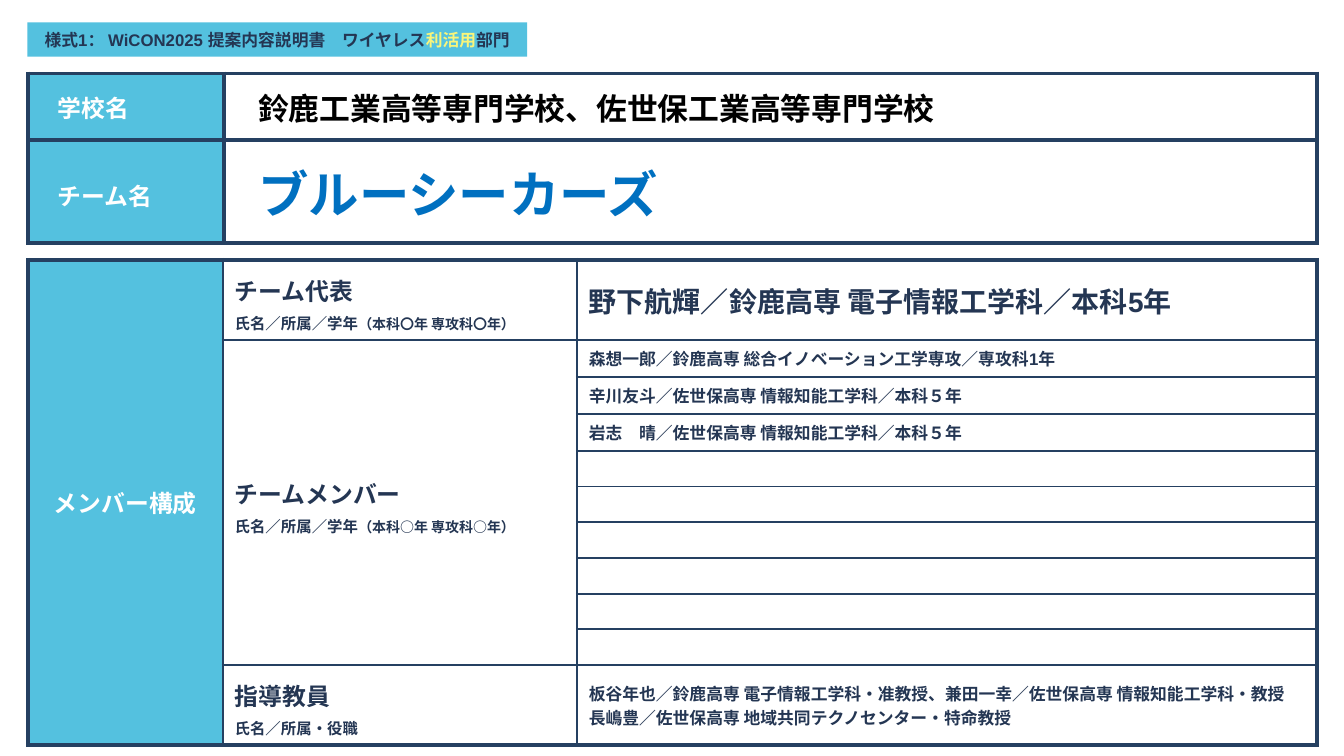
from lxml import etree
from pptx import Presentation
from pptx.dml.color import RGBColor
from pptx.enum.text import MSO_ANCHOR, MSO_AUTO_SIZE, PP_ALIGN
from pptx.oxml.ns import qn
from pptx.util import Pt

MIDDLE = MSO_ANCHOR.MIDDLE
FIXED = MSO_AUTO_SIZE.NONE
CENTER = PP_ALIGN.CENTER
LEFT = PP_ALIGN.LEFT

HUES = {
    "sky": "54C1DF", "white": "FFFFFF", "ink": "243653", "edge": "254061",
    "black": "000000", "blue": "0070C0", "lemon": "F9F57A",
}


class Sheet:
    latin = "Arial"
    asian = "Noto Sans CJK JP"

    def __init__(self, deck):
        self.slide = deck.slides.add_slide(deck.slide_layouts[5])

    def paint(self, fill, hue):
        fill.solid()
        fill.fore_color.rgb = RGBColor.from_string(HUES[hue])

    def text(self, para, runs, align=LEFT, space=1.0):
        para.alignment = align
        para.line_spacing = space
        for words, size, hue in runs:
            for num, line in enumerate(words.split("\n")):
                if num:
                    para.add_line_break()
                run = para.add_run()
                run.text = line
                font = run.font
                font.name = self.latin
                font.size = Pt(size)
                font.bold = True
                font.color.rgb = RGBColor.from_string(HUES[hue])
                latin = run._r.rPr.find(qn("a:latin"))
                asian = etree.Element(qn("a:ea"), typeface=self.asian)
                latin.addnext(asian)

    def title(self, box, runs):
        shape = self.slide.shapes.title
        shape.left, shape.top, shape.width, shape.height = map(Pt, box)
        self.paint(shape.fill, "sky")
        frame = shape.text_frame
        frame.word_wrap = True
        frame.auto_size = FIXED
        frame.vertical_anchor = MIDDLE
        self.text(frame.paragraphs[0], runs, CENTER)

    def table(self, left, top, cols, rows):
        size = len(rows), len(cols)
        box = map(Pt, (left, top, sum(cols), sum(rows)))
        table = self.slide.shapes.add_table(*size, *box).table
        table.first_row = table.horz_banding = False
        for col, width in zip(table.columns, cols):
            col.width = Pt(width)
        for row, height in zip(table.rows, rows):
            row.height = Pt(height)
        return table

    def cell(self, cell, paras, pads, hue="white", align=LEFT, space=1.0):
        self.paint(cell.fill, hue)
        cell.vertical_anchor = MIDDLE
        cell.margin_left, cell.margin_right = map(Pt, pads)
        cell.margin_top = cell.margin_bottom = Pt(4.3)
        frame = cell.text_frame
        for num, runs in enumerate(paras):
            para = frame.add_paragraph() if num else frame.paragraphs[0]
            self.text(para, runs, align, space)
        if not paras:
            end = etree.SubElement(frame.paragraphs[0]._p, qn("a:endParaRPr"))
            end.set("sz", "1000")

    def frame(self, table, outer, inner):
        high, wide = len(table.rows), len(table.columns)
        for row in range(high):
            for col in range(wide):
                cell = table.cell(row, col)
                if cell.is_spanned:
                    continue
                sides = {
                    "L": col == 0,
                    "R": col + cell.span_width == wide,
                    "T": row == 0,
                    "B": row + cell.span_height == high,
                }
                props = cell._tc.get_or_add_tcPr()
                for spot, (side, rim) in enumerate(sides.items()):
                    line = etree.Element(qn("a:ln" + side))
                    line.set("w", str(Pt(outer if rim else inner)))
                    fill = etree.SubElement(line, qn("a:solidFill"))
                    etree.SubElement(fill, qn("a:srgbClr"), val=HUES["edge"])
                    props.insert(spot, line)


def main():
    deck = Presentation()
    deck.slide_width, deck.slide_height = Pt(960), Pt(540)
    sheet = Sheet(deck)

    sheet.title((19.5, 16, 357, 24.5), [
        ("様式1： WiCON2025 提案内容説明書　ワイヤレス", 12, "ink"),
        ("利活用", 12, "lemon"),
        ("部門", 12, "ink"),
    ])

    team = sheet.table(20, 52.5, [140, 781], [47.5, 73.5])
    facts = [
        ("学校名", "鈴鹿工業高等専門学校、佐世保工業高等専門学校", 22, "black", 1.0),
        ("チーム名", "ブルーシーカーズ", 36, "blue", 1.2),
    ]
    for row, (label, value, size, hue, space) in enumerate(facts):
        sheet.cell(team.cell(row, 0), [[(label, 17, "white")]], (21, 8.6),
                   "sky", space=space)
        sheet.cell(team.cell(row, 1), [[(value, size, hue)]], (24.5, 8.6))
    sheet.frame(team, 3, 3)

    crew = sheet.table(20, 185.5, [139, 253, 529],
                       [57] + [26.4] * 3 + [25.5] * 6 + [57])
    for first, last, col in [(0, 10, 0), (1, 9, 1)]:
        crew.cell(first, col).merge(crew.cell(last, col))
    sheet.cell(crew.cell(0, 0), [[("メンバー構成", 17, "white")]], (7.2, 7.2),
               "sky", CENTER)

    roles = [
        (0, "チーム代表", "氏名／所属／学年", "（本科〇年 専攻科〇年）"),
        (1, "チームメンバー", "氏名／所属／学年", "（本科○年 専攻科○年）"),
        (10, "指導教員", "氏名／所属・役職", ""),
    ]
    for row, role, hint, note in roles:
        hints = [(hint, 11, "ink")]
        if note:
            hints.append((note, 10, "ink"))
        sheet.cell(crew.cell(row, 1), [[(role, 17, "ink")], hints], (8.6, 0),
                   space=1.2)

    names = {
        0: "野下航輝／鈴鹿高専 電子情報工学科／本科5年",
        1: "森想一郎／鈴鹿高専 総合イノベーション工学専攻／専攻科1年",
        2: "辛川友斗／佐世保高専 情報知能工学科／本科５年",
        3: "岩志　晴／佐世保高専 情報知能工学科／本科５年",
        10: "板谷年也／鈴鹿高専 電子情報工学科・准教授、"
            "兼田一幸／佐世保高専 情報知能工学科・教授\n"
            "長嶋豊／佐世保高専 地域共同テクノセンター・特命教授",
    }
    for row in range(11):
        size = 12 if row else 20
        paras = [[(names[row], size, "ink")]] if row in names else []
        sheet.cell(crew.cell(row, 2), paras, (8.6, 8.6))
    sheet.frame(crew, 3, 1.5)

    deck.save("out.pptx")


if __name__ == "__main__":
    main()
